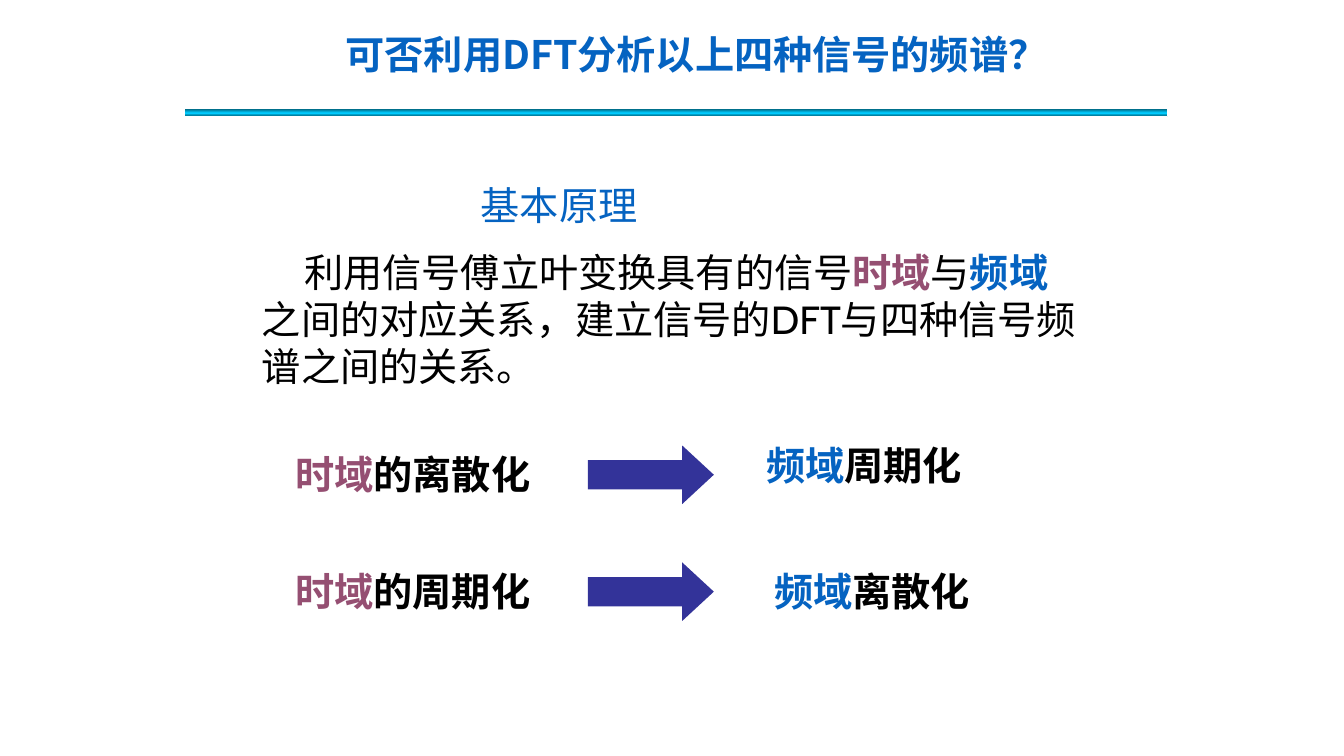
import copy
from dataclasses import dataclass

import pptx
import pptx.dml.color
import pptx.enum.shapes
import pptx.enum.text
import pptx.oxml
import pptx.oxml.ns
import pptx.util

Inches = pptx.util.Inches
Pt = pptx.util.Pt
RGBColor = pptx.dml.color.RGBColor

BLUE = RGBColor(0x05, 0x63, 0xC1)
PLUM = RGBColor(0x95, 0x4F, 0x72)
BLACK = RGBColor(0x00, 0x00, 0x00)
WHITE = RGBColor(0xFF, 0xFF, 0xFF)
INDIGO = RGBColor(0x33, 0x33, 0x99)
TEAL = RGBColor(0x00, 0x5E, 0x76)
CYAN = RGBColor(0x00, 0xCC, 0xFF)

CJK_FONT = "Noto Sans CJK SC"
BODY_FONT = "Cabin"


@dataclass(frozen=True)
class Run:
    text: str
    color: RGBColor = BLACK
    bold: bool = False
    font: str = CJK_FONT


@dataclass(frozen=True)
class Paragraph:
    runs: tuple[Run, ...]
    indent: float = 0
    space_before: float = 0


@dataclass(frozen=True)
class TextBlock:
    left: float
    top: float
    width: float
    height: float
    paragraphs: tuple[Paragraph, ...]


def body_run(text: str, color: RGBColor = BLACK, bold: bool = False) -> Run:
    return Run(text, color, bold, BODY_FONT)


def domain_label(left: float, top: float, width: float, domain: str,
                 color: RGBColor, effect: str) -> TextBlock:
    runs = (Run(domain, color, True), Run(effect, BLACK, True))
    return TextBlock(left, top, width, 0.57, (Paragraph(runs),))


def draw_text(slide, block: TextBlock) -> None:
    frame = slide.shapes.add_textbox(
        Inches(block.left), Inches(block.top),
        Inches(block.width), Inches(block.height)).text_frame
    frame.word_wrap = True
    frame.auto_size = pptx.enum.text.MSO_AUTO_SIZE.SHAPE_TO_FIT_TEXT
    for index, content in enumerate(block.paragraphs):
        paragraph = frame.add_paragraph() if index else frame.paragraphs[0]
        if content.space_before:
            paragraph.space_before = Pt(content.space_before)
        if content.indent:
            paragraph._p.get_or_add_pPr().set("indent", str(Inches(content.indent)))
        for part in content.runs:
            run = paragraph.add_run()
            run.text = part.text
            run_format = {"name": part.font, "size": Pt(28), "bold": part.bold}
            for attribute, value in run_format.items():
                setattr(run.font, attribute, value)
            run.font.color.rgb = part.color


def draw_arrow(slide, top: float) -> None:
    arrow = slide.shapes.add_shape(
        pptx.enum.shapes.MSO_SHAPE.RIGHT_ARROW,
        Inches(5.83), Inches(top), Inches(1.25), Inches(0.58))
    arrow.shadow.inherit = False
    arrow.adjustments[1] = 0.54
    arrow.fill.solid()
    arrow.fill.fore_color.rgb = INDIGO
    arrow.line.fill.background()


def draw_title_rule(slide) -> None:
    rule = slide.shapes.add_shape(
        pptx.enum.shapes.MSO_SHAPE.RECTANGLE,
        Inches(1.83), Inches(1.08), Inches(9.75), Inches(0.08))
    rule.shadow.inherit = False
    rule.line.color.rgb = WHITE
    rule.line.width = Pt(0.75)
    rule.fill.gradient()
    rule.fill.gradient_angle = 90
    # The default gradient has two stops; add a third
    stop_list = rule._element.spPr.find(".//" + pptx.oxml.ns.qn("a:gsLst"))
    stop_list.append(copy.deepcopy(stop_list[-1]))
    for stop, position, color in zip(
            rule.fill.gradient_stops, (0, 0.5, 1), (TEAL, CYAN, TEAL)):
        stop.position = position
        stop.color.rgb = color


TITLE = TextBlock(3.33, 0.25, 7.33, 0.57, (
    Paragraph((Run("可否利用DFT分析以上四种信号的频谱？", BLUE, True),)),))

PRINCIPLE = TextBlock(2.5, 1.75, 8.33, 2.2, (
    Paragraph((body_run("基本原理", BLUE),), indent=2.17),
    Paragraph((
        body_run("利用信号傅立叶变换具有的信号"),
        body_run("时域", PLUM, True),
        body_run("与"),
        body_run("频域", BLUE, True),
        body_run("之间的对应关系，建立信号的DFT与四种信号频谱之间的关系。"),
    ), indent=0.42, space_before=14)))

DOMAIN_LABELS = (
    domain_label(2.83, 4.42, 2.58, "时域", PLUM, "的离散化"),
    domain_label(2.83, 5.58, 2.92, "时域", PLUM, "的周期化"),
    domain_label(7.5, 4.33, 2.67, "频域", BLUE, "周期化"),
    domain_label(7.58, 5.58, 3.17, "频域", BLUE, "离散化"),
)

ARROW_TOPS = (4.42, 5.58)


def main() -> None:
    presentation = pptx.Presentation()
    presentation.slide_width = Inches(13.33)
    presentation.slide_height = Inches(7.5)
    slide = presentation.slides.add_slide(presentation.slide_layouts[6])

    # Title, principle and the time/frequency labels
    for block in (TITLE, PRINCIPLE, *DOMAIN_LABELS):
        draw_text(slide, block)

    # Arrows from time domain to frequency domain
    for top in ARROW_TOPS:
        draw_arrow(slide, top)

    # Rule under the title
    draw_title_rule(slide)

    presentation.save("out.pptx")


if __name__ == "__main__":
    main()
